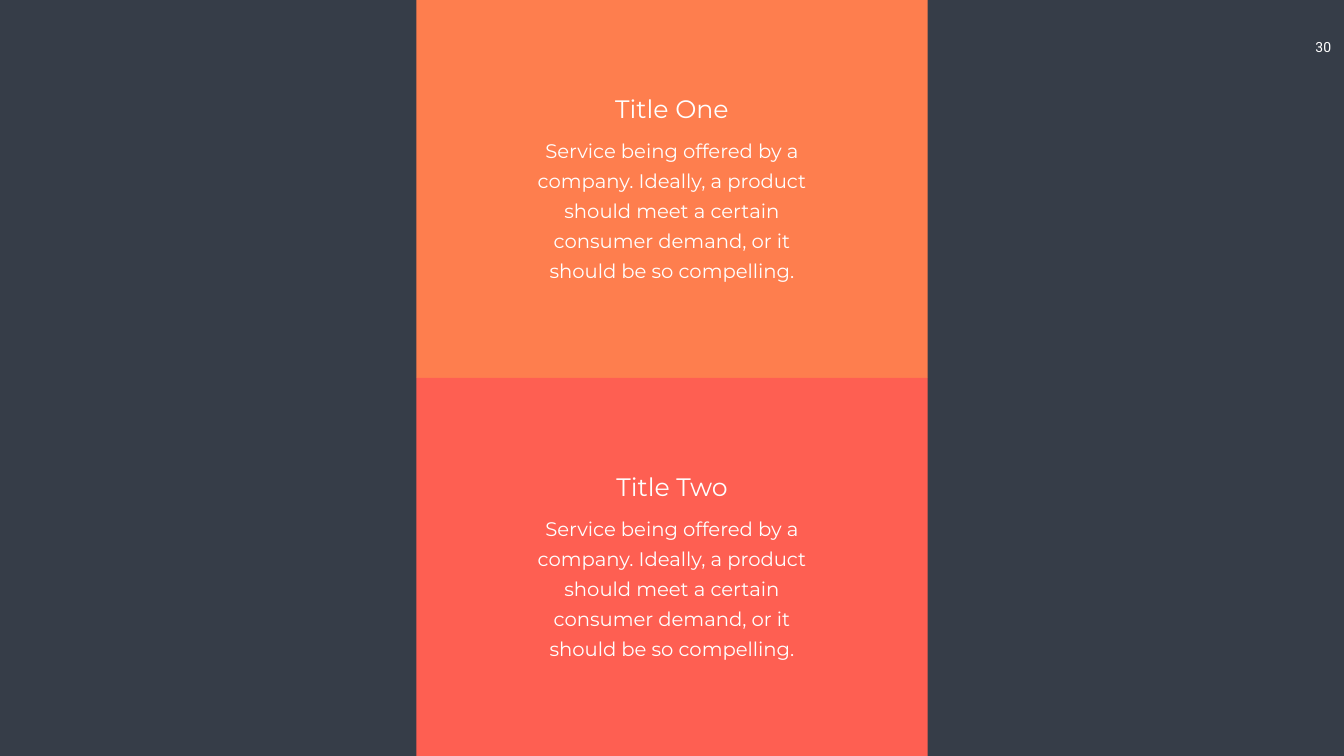
from pptx import Presentation
from pptx.dml.color import RGBColor
from pptx.enum.shapes import MSO_SHAPE as SHAPE
from pptx.enum.text import MSO_AUTO_SIZE as FIT, PP_ALIGN as ALIGN
from pptx.util import Cm, Pt

BODY = ("Service being offered by a company. Ideally, a product should meet "
        "a certain consumer demand, or it should be so compelling.")
PANEL_H = 19.05
PANELS = [("Title One", "FE7E4E"), ("Title Two", "FE5F52")]


def paint(fill, color):
    fill.solid()
    fill.fore_color.rgb = RGBColor.from_string(color)


def add_text(shapes, text, box, inset, size, font="Montserrat", wrap=True, spacing=None):
    """Add centred white text; box is left, top, width, height and inset is x, y in cm."""
    tf = shapes.add_textbox(*map(Cm, box)).text_frame
    x, y = map(Cm, inset)
    frame_format = {"word_wrap": wrap, "auto_size": FIT.SHAPE_TO_FIT_TEXT,
                    "margin_left": x, "margin_right": x,
                    "margin_top": y, "margin_bottom": y}
    for name, value in frame_format.items():
        setattr(tf, name, value)
    p = tf.paragraphs[0]
    p.alignment = ALIGN.CENTER
    p.line_spacing = spacing
    r = p.add_run()
    r.text = text
    for name, value in {"name": font, "size": Pt(size)}.items():
        setattr(r.font, name, value)
    paint(r.font.fill, "FFFFFF")


prs = Presentation()
prs.slide_width, prs.slide_height = Cm(67.72), Cm(2 * PANEL_H)
s = prs.slides.add_slide(prs.slide_layouts[6])
paint(s.background.fill, "363D48")

# Page number
add_text(s.shapes, "30", (65.53, 1.7, 2.3, 1.37), (0.51, 0.25), 20, "Roboto", wrap=False)

# Stacked colour panels
for i, (title, color) in enumerate(PANELS):
    sp = s.shapes.add_shape(SHAPE.RECTANGLE, Cm(20.98), Cm(i * PANEL_H), Cm(25.76), Cm(PANEL_H))
    sp.shadow.inherit = False
    paint(sp.fill, color)
    sp.line.fill.background()

# Text group on each panel
for i, (title, color) in enumerate(PANELS):
    top = i * PANEL_H
    group = s.shapes.add_group_shape().shapes
    add_text(group, BODY, (25.6, top + 6.35, 16.51, 8.13), (0.61, 0.3), 28, spacing=Pt(43))
    add_text(group, title, (27.69, top + 4.57, 12.34, 1.8), (0.25, 0.13), 36)

prs.save("out.pptx")
